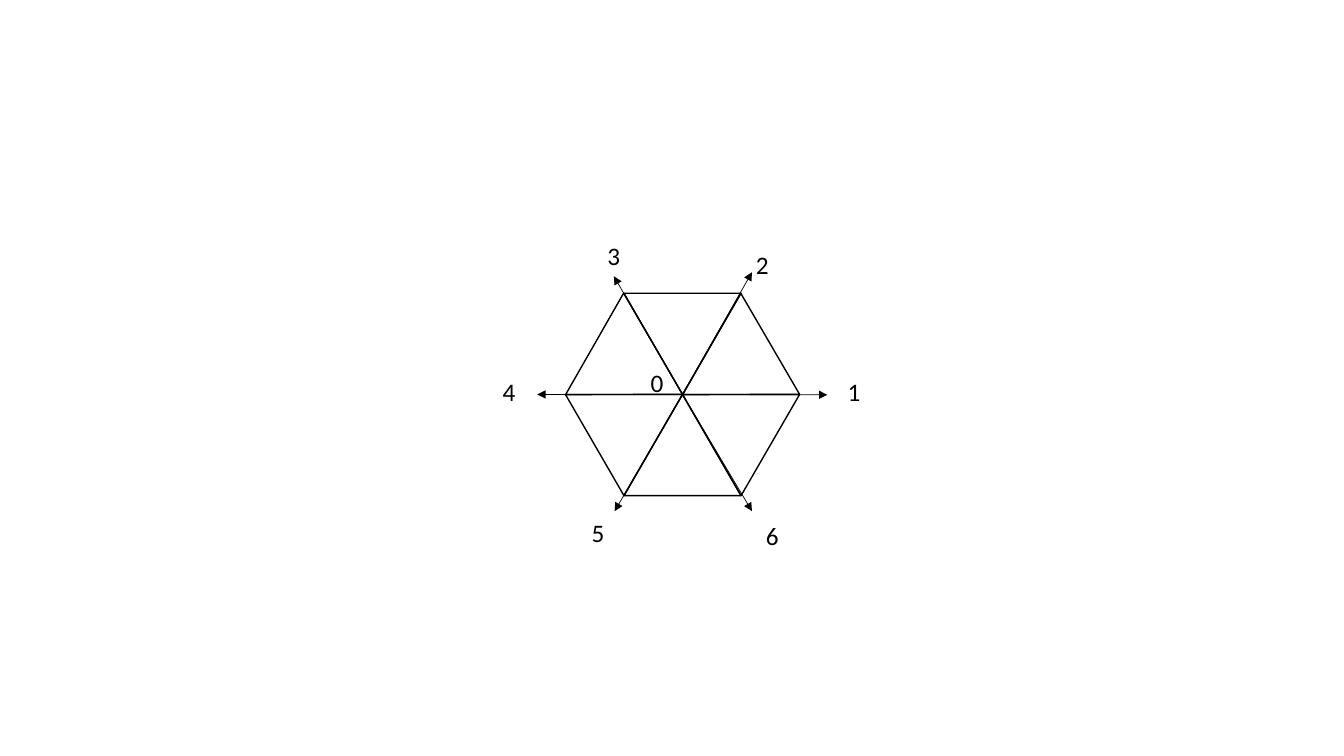
"""Build a slide with a hexagon of six triangles and six numbered direction arrows."""
import pptx
import pptx.dml.color
import pptx.enum.shapes
import pptx.enum.text
import pptx.oxml.ns
import pptx.util
from lxml import etree

Cm = pptx.util.Cm
Pt = pptx.util.Pt

THEME = {
    "ink": pptx.dml.color.RGBColor(0, 0, 0),
    "font": "Calibri",
    "label_size": Pt(18),
    "triangle_line": Pt(1),
    "arrow_line": Pt(0.5),
}

CENTRE_X, CENTRE_Y = 17.2, 9.94
SIDE, HEIGHT = 2.95, 2.55
LABEL_WIDTH, LABEL_HEIGHT = 0.84, 1.02

# Fractions of side and height from the centre, then rotation in degrees.
TRIANGLES = [
    (0, 0.5, 0),
    (0, -0.5, 180),
    (0.375, -0.25, 239.8),
    (-0.625, -0.25, 239.8),
    (0.5, 0.5, 180),
    (-0.5, 0.5, 180),
]
LABELS = {
    "1": (21.11, 9.35),
    "2": (18.8, 6.17),
    "3": (15.06, 5.92),
    "4": (12.42, 9.35),
    "5": (14.66, 12.9),
    "6": (19.05, 12.98),
    "0": (16.15, 9.12),
}
ARROW_TIPS = [
    (18.95, 6.86),
    (15.47, 6.96),
    (20.85, 9.95),
    (13.54, 9.94),
    (15.49, 12.88),
    (18.95, 12.88),
]


def set_line(shape, width):
    shape.line.color.rgb = THEME["ink"]
    shape.line.width = width


def add_triangle(slide, across, down, rotation):
    left = CENTRE_X + across * SIDE - SIDE / 2
    top = CENTRE_Y + down * HEIGHT - HEIGHT / 2
    triangle = slide.shapes.add_shape(
        pptx.enum.shapes.MSO_SHAPE.ISOSCELES_TRIANGLE,
        Cm(left), Cm(top), Cm(SIDE), Cm(HEIGHT))
    triangle.rotation = rotation
    triangle.shadow.inherit = False
    triangle.fill.background()
    set_line(triangle, THEME["triangle_line"])


def add_label(slide, text, left, top):
    label = slide.shapes.add_textbox(
        Cm(left), Cm(top), Cm(LABEL_WIDTH), Cm(LABEL_HEIGHT))
    frame = label.text_frame
    frame.word_wrap = False
    frame.auto_size = pptx.enum.text.MSO_AUTO_SIZE.SHAPE_TO_FIT_TEXT
    paragraph = frame.paragraphs[0]
    paragraph.text = text
    paragraph.font.name = THEME["font"]
    paragraph.font.size = THEME["label_size"]
    paragraph.font.color.rgb = THEME["ink"]


def add_arrow(slide, tip_x, tip_y):
    arrow = slide.shapes.add_connector(
        pptx.enum.shapes.MSO_CONNECTOR.STRAIGHT,
        Cm(CENTRE_X), Cm(CENTRE_Y), Cm(tip_x), Cm(tip_y))
    set_line(arrow, THEME["arrow_line"])
    qn = pptx.oxml.ns.qn
    properties = arrow.element.spPr
    etree.SubElement(properties.find(qn("a:ln")), qn("a:tailEnd"), type="triangle")
    etree.SubElement(properties, qn("a:effectLst"))


presentation = pptx.Presentation()
presentation.slide_width = Cm(33.87)
presentation.slide_height = Cm(19.05)
slide = presentation.slides.add_slide(presentation.slide_layouts[6])

for triangle in TRIANGLES:
    add_triangle(slide, *triangle)
for text, position in LABELS.items():
    add_label(slide, text, *position)
for tip in ARROW_TIPS:
    add_arrow(slide, *tip)

presentation.save("out.pptx")
